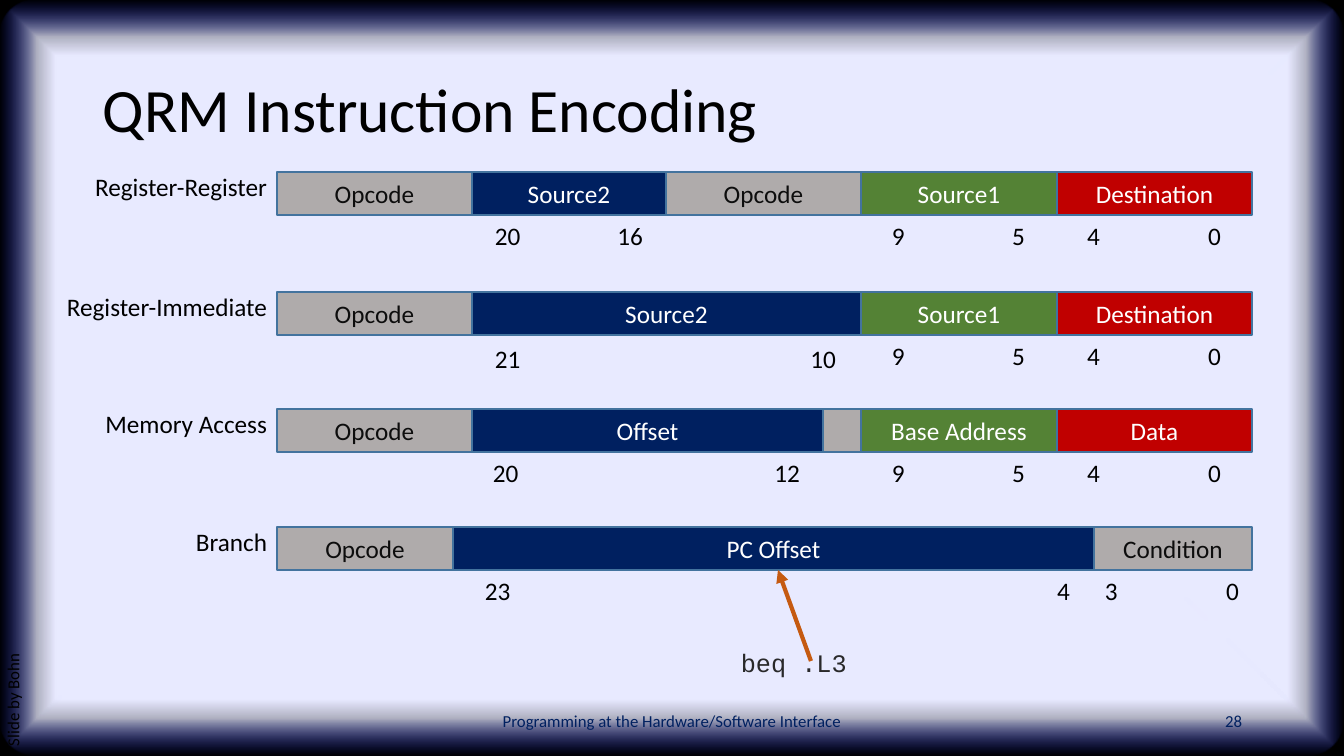
from pptx import Presentation
from pptx.dml.color import RGBColor
from pptx.enum.shapes import MSO_CONNECTOR, MSO_SHAPE
from pptx.enum.text import MSO_ANCHOR, PP_ALIGN
from pptx.oxml import parse_xml
from pptx.oxml.ns import nsdecls, qn
from pptx.oxml.xmlchemy import OxmlElement
from pptx.util import Emu, Pt

SLIDE_W, SLIDE_H = 1344, 756
EMU_PER_PX = 12192000 / SLIDE_W

BLACK = RGBColor(0x00, 0x00, 0x00)
WHITE = RGBColor(0xFF, 0xFF, 0xFF)
GREY = RGBColor(0xAF, 0xAB, 0xAB)
NAVY = RGBColor(0x00, 0x20, 0x60)
GREEN = RGBColor(0x54, 0x82, 0x35)
RED = RGBColor(0xC0, 0x00, 0x00)
OUTLINE = RGBColor(0x43, 0x73, 0x9E)
DARK_TEXT = RGBColor(0x0D, 0x0D, 0x0D)
CODE_TEXT = RGBColor(0x29, 0x29, 0x2A)
ORANGE = RGBColor(0xC5, 0x5A, 0x11)

FIELD_H = 43
TEXT_H = 40

# Each field: name, colour, left, right, and its bits as (high, low, left, right, drop)
OPCODE = ("Opcode", GREY, 277, 472, None)
SOURCE1_BITS = ("9", "5", 892, 1025, 0)
DESTINATION_BITS = ("4", "0", 1087, 1221, 0)
SOURCE1 = ("Source1", GREEN, 861, 1057, SOURCE1_BITS)
DESTINATION = ("Destination", RED, 1057, 1252, DESTINATION_BITS)

FORMATS = [
    ("Register-Register", 172, [
        OPCODE,
        ("Source2", NAVY, 472, 666, ("20", "16", 495, 643, 0)),
        ("Opcode", GREY, 666, 861, None),
        SOURCE1,
        DESTINATION,
    ]),
    ("Register-Immediate", 292, [
        OPCODE,
        ("Source2", NAVY, 472, 861, ("21", "10", 495, 836, 3)),
        SOURCE1,
        DESTINATION,
    ]),
    ("Memory Access", 409, [
        OPCODE,
        ("Offset", NAVY, 472, 823, ("20", "12", 493, 800, 0)),
        ("", GREY, 823, 861, None),
        ("Base Address", GREEN, 861, 1057, SOURCE1_BITS),
        ("Data", RED, 1057, 1252, DESTINATION_BITS),
    ]),
    ("Branch", 527, [
        ("Opcode", GREY, 277, 453, None),
        ("PC Offset", NAVY, 453, 1094, ("23", "4", 485, 1070, 0)),
        ("Condition", GREY, 1094, 1252, ("3", "0", 1105, 1239, 0)),
    ]),
]


def px(length):
    return Emu(round(length * EMU_PER_PX))


def write(frame, text, size, color, align=PP_ALIGN.LEFT, font="Calibri"):
    frame.text = text
    paragraph = frame.paragraphs[0]
    paragraph.alignment = align
    for run in paragraph.runs:
        run.font.size = Pt(size)
        run.font.name = font
        run.font.color.rgb = color


def add_text(slide, box, text, size=18, color=BLACK, align=PP_ALIGN.LEFT,
             font="Calibri", anchor=MSO_ANCHOR.TOP):
    label = slide.shapes.add_textbox(*map(px, box))
    label.text_frame.word_wrap = True
    label.text_frame.vertical_anchor = anchor
    write(label.text_frame, text, size, color, align, font)
    return label


def add_block(slide, preset, box, color):
    block = slide.shapes.add_shape(preset, *map(px, box))
    block.shadow.inherit = False
    block.fill.solid()
    block.fill.fore_color.rgb = color
    block.line.fill.background()
    return block


def add_backdrop(slide, box):
    """Black frame with a rounded pale panel that fades out at its edges."""
    add_block(slide, MSO_SHAPE.RECTANGLE, box, BLACK)
    panel = add_block(slide, MSO_SHAPE.ROUNDED_RECTANGLE, box, WHITE)
    panel.adjustments[0] = 0.05
    fade = parse_xml(
        f'<a:gradFill {nsdecls("a")} rotWithShape="1"><a:gsLst>'
        '<a:gs pos="85000"><a:srgbClr val="E8EAFF"/></a:gs>'
        '<a:gs pos="90000"><a:srgbClr val="E8EAFF"><a:alpha val="75000"/></a:srgbClr></a:gs>'
        '<a:gs pos="100000"><a:srgbClr val="162AFF"><a:alpha val="0"/></a:srgbClr></a:gs>'
        '</a:gsLst><a:path path="shape">'
        '<a:fillToRect l="50000" t="50000" r="50000" b="50000"/></a:path></a:gradFill>')
    properties = panel._element.spPr
    properties.replace(properties.find(qn("a:solidFill")), fade)


def add_bit_range(slide, left, top, width, high, low):
    """High bit at the left edge, low bit against a right tab at the right edge."""
    bits = add_text(slide, (left, top, width + 10, TEXT_H), f"{high}\t{low}")
    bits.text_frame.margin_left = bits.text_frame.margin_right = 0
    tab_list = OxmlElement("a:tabLst")
    tab = OxmlElement("a:tab")
    tab.set("pos", str(px(width)))
    tab.set("algn", "r")
    tab_list.append(tab)
    bits.text_frame.paragraphs[0]._p.get_or_add_pPr().append(tab_list)


def add_format(slide, name, top, fields):
    """One instruction format: its name, its fields and their bit numbers."""
    first_left = fields[0][2]
    add_text(slide, (first_left - 240, top - 6, 240, TEXT_H), name, align=PP_ALIGN.RIGHT)
    for field_name, color, left, right, bits in fields:
        field = add_block(slide, MSO_SHAPE.RECTANGLE,
                          (left, top, right - left, FIELD_H), color)
        field.line.color.rgb = OUTLINE
        field.line.width = Pt(1)
        if field_name:
            field.text_frame.vertical_anchor = MSO_ANCHOR.MIDDLE
            write(field.text_frame, field_name, 18,
                  DARK_TEXT if color == GREY else WHITE, PP_ALIGN.CENTER)
        if bits:
            high, low, bits_left, bits_right, drop = bits
            add_bit_range(slide, bits_left, top + FIELD_H + drop,
                          bits_right - bits_left, high, low)


def add_branch_example(slide, left, top):
    """Sample instruction with an arrow up to the offset it encodes."""
    add_text(slide, (left, top, 127, TEXT_H), "beq .L3", color=CODE_TEXT, font="Courier New")
    arrow = slide.shapes.add_connector(
        MSO_CONNECTOR.STRAIGHT, px(left + 80), px(top + 19), px(left + 47), px(top - 72))
    arrow.line.color.rgb = ORANGE
    arrow.line.width = Pt(3)
    head = OxmlElement("a:tailEnd")
    head.set("type", "triangle")
    arrow.line._get_or_add_ln().append(head)
    arrow._element.spPr.append(OxmlElement("a:effectLst"))


def add_title(slide, box):
    title = add_text(slide, box, "QRM Instruction Encoding", 44, anchor=MSO_ANCHOR.MIDDLE)
    title.text_frame.paragraphs[0].line_spacing = 0.9


def add_footer(slide, top):
    add_text(slide, (445, top, 454, TEXT_H), "Programming at the Hardware/Software Interface",
             12, NAVY, PP_ALIGN.CENTER, anchor=MSO_ANCHOR.MIDDLE)
    add_text(slide, (950, top, 302, TEXT_H), "28", 12, NAVY, PP_ALIGN.RIGHT,
             anchor=MSO_ANCHOR.MIDDLE)
    author = add_text(slide, (-46, 670, 132, TEXT_H), "Slide by Bohn", 12)
    author.text_frame.paragraphs[0].line_spacing = 0.9
    author.rotation = 270


def main():
    deck = Presentation()
    deck.slide_width, deck.slide_height = px(SLIDE_W), px(SLIDE_H)
    slide = deck.slides.add_slide(deck.slide_layouts[6])
    add_backdrop(slide, (0, 0, SLIDE_W, SLIDE_H))
    add_title(slide, (93, 40, 1159, 146))
    add_footer(slide, 701)
    for name, top, fields in FORMATS:
        add_format(slide, name, top, fields)
    add_branch_example(slide, 731, 642)
    deck.save("out.pptx")


if __name__ == "__main__":
    main()
